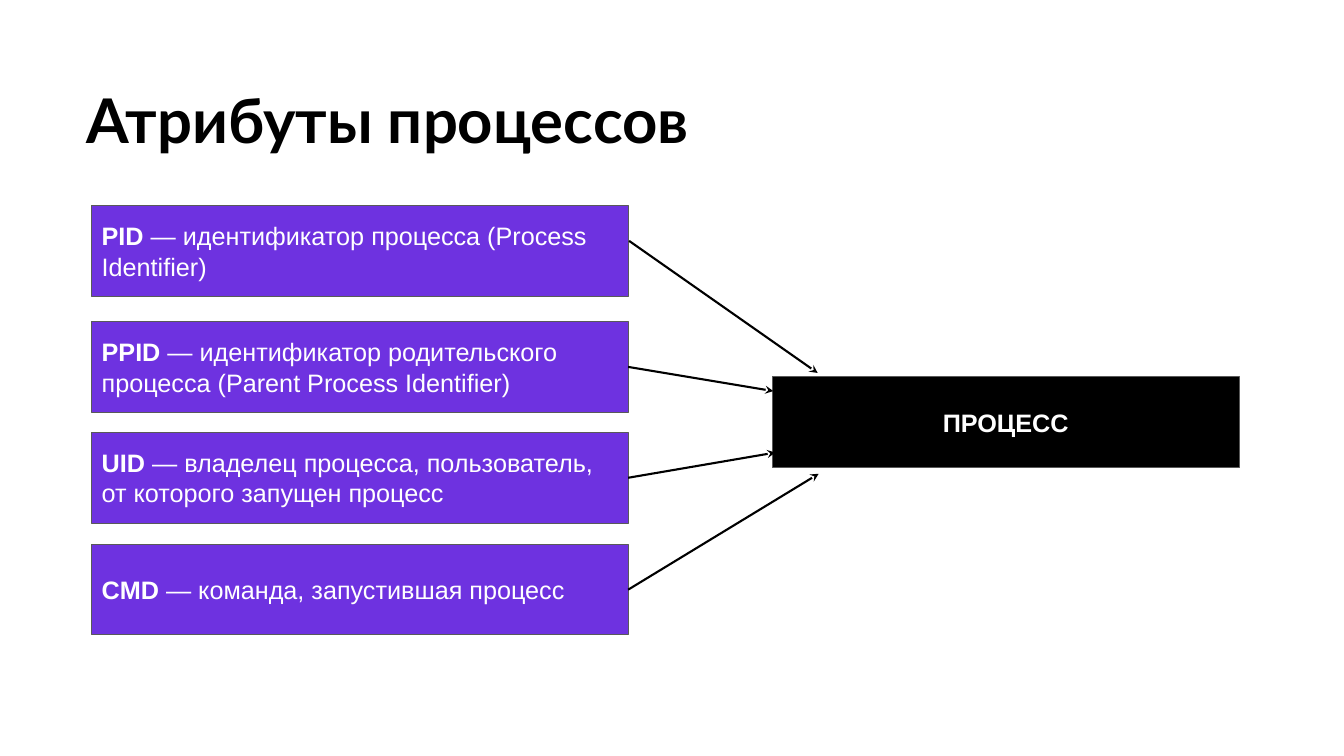
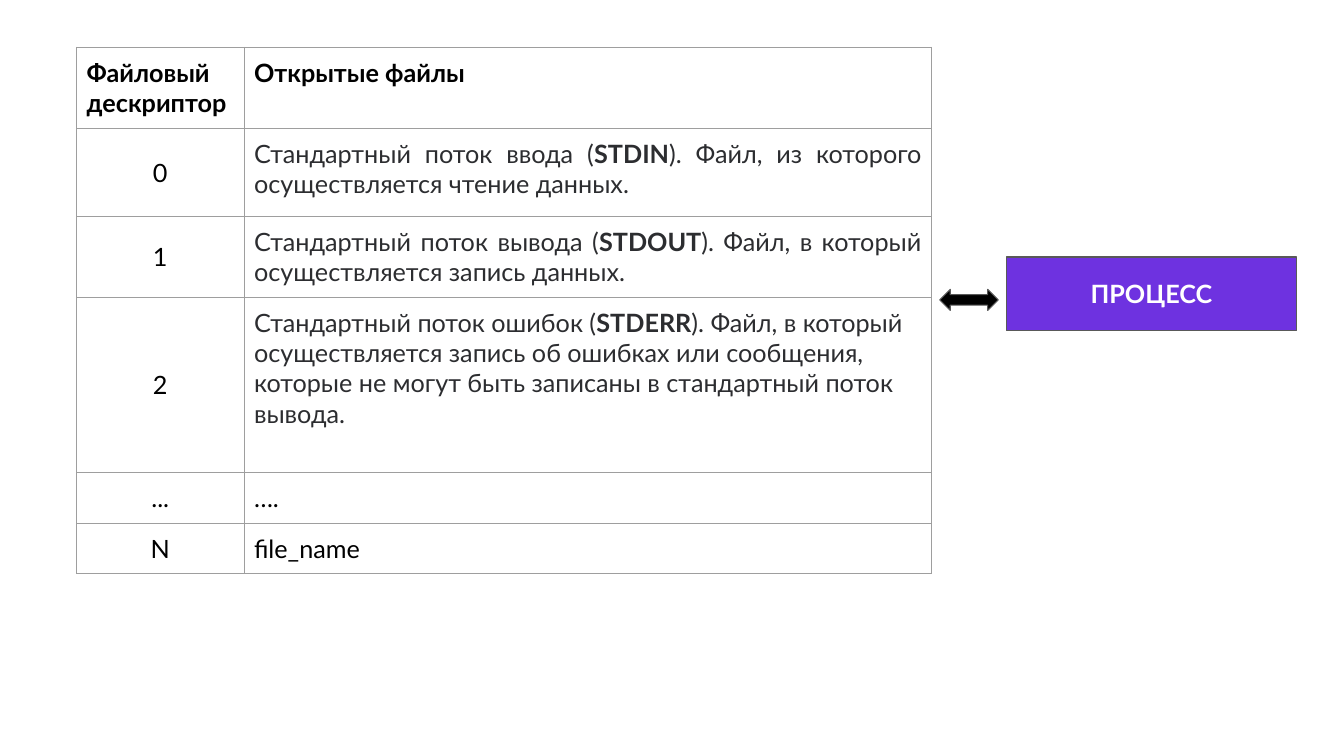
import pptx
import pptx.util
import pptx.dml.color
import pptx.enum.shapes
import pptx.enum.text
import pptx.oxml
import pptx.oxml.ns

Inches, Pt = pptx.util.Inches, pptx.util.Pt
SHAPE = pptx.enum.shapes.MSO_SHAPE
ALIGN = pptx.enum.text.PP_ALIGN
MIDDLE = pptx.enum.text.MSO_ANCHOR.MIDDLE
TOP = pptx.enum.text.MSO_ANCHOR.TOP

PURPLE, BLACK, WHITE = "6E32E0", "000000", "FFFFFF"
OUTLINE, BORDER, BODY = "595959", "9E9E9E", "2C2D30"
RIGHT_SIDE = 3

# top, term, description, arrow start (None: middle of the side), arrow end
ATTRIBUTES = [
    (2.04, "PID", " — идентификатор процесса (Process Identifier)", (6.24, 2.39), (8.11, 3.7)),
    (3.19, "PPID", " — идентификатор родительского процесса (Parent Process Identifier)",
     None, (7.67, 3.88)),
    (4.29, "UID", " — владелец процесса, пользователь, от которого запущен процесс",
     None, (7.69, 4.49)),
    (5.4, "CMD", " — команда, запустившая процесс", None, (8.12, 4.7)),
]

# row height, descriptor, runs of the description, colour, alignment
DESCRIPTORS = [
    (0.88, "0", [("Стандартный поток ввода (", False), ("STDIN", True),
                 ("). Файл, из которого осуществляется чтение данных.", False)],
     BODY, ALIGN.JUSTIFY),
    (0.79, "1", [("Стандартный поток вывода (", False), ("STDOUT", True),
                 ("). Файл, в который осуществляется запись данных.", False)],
     BODY, ALIGN.JUSTIFY),
    (1.74, "2", [("Стандартный поток ошибок (", False), ("STDERR", True),
                 ("). Файл, в который осуществляется запись об ошибках или сообщения, "
                  "которые не могут быть записаны в стандартный поток вывода.", False)],
     BODY, ALIGN.LEFT),
    (0.5, "...", [("….", False)], BLACK, ALIGN.LEFT),
    (0.5, "N", [("file_name", False)], BLACK, ALIGN.LEFT),
]


def rgb(color):
    return pptx.dml.color.RGBColor.from_string(color)


def add_runs(p, runs, font, color, size=18, align=ALIGN.LEFT):
    """Fill a paragraph with (text, bold) runs."""
    p.alignment = align
    for text, bold in runs:
        r = p.add_run()
        r.text = text
        r.font.name, r.font.size, r.font.bold = font, Pt(size), bold
        r.font.color.rgb = rgb(color)


def set_margins(holder, x=0.1, y=0.1):
    holder.margin_left = holder.margin_right = Inches(x)
    holder.margin_top = holder.margin_bottom = Inches(y)


def add_title(slide, text):
    sp = slide.shapes.add_textbox(*map(Inches, (0.76, 0.76, 11.82, 1.05)))
    tf = sp.text_frame
    tf.word_wrap = True
    set_margins(tf, y=0.05)
    add_runs(tf.paragraphs[0], [(text, True)], "Lato", BLACK, 44)


def add_block(slide, at, fill, kind=SHAPE.RECTANGLE):
    sp = slide.shapes.add_shape(kind, *map(Inches, at))
    sp.shadow.inherit = False
    sp.fill.solid()
    sp.fill.fore_color.rgb = rgb(fill)
    sp.line.color.rgb = rgb(OUTLINE)
    sp.line.width = Pt(0.75)
    return sp


def add_label(slide, at, fill, runs, font, align=ALIGN.CENTER):
    """Add a rectangle with white text."""
    sp = add_block(slide, at, fill)
    tf = sp.text_frame
    tf.word_wrap = True
    tf.vertical_anchor = MIDDLE
    set_margins(tf)
    add_runs(tf.paragraphs[0], runs, font, WHITE, align=align)
    return sp


def add_arrow(slide, source, start, end):
    """Draw an arrow from a point, or from the right side of source."""
    first = start or (0, 0)
    line = slide.shapes.add_connector(
        pptx.enum.shapes.MSO_CONNECTOR.STRAIGHT, *map(Inches, first + end))
    if start is None:
        line.begin_connect(source, RIGHT_SIDE)
    line.line.color.rgb = rgb(BLACK)
    line.line.width = Pt(1.5)
    ln = line.line._get_or_add_ln()
    pptx.oxml.ns.qn("a:tailEnd")
    tail = pptx.oxml.parse_xml(
        f'<a:tailEnd {pptx.oxml.ns.nsdecls("a")} type="stealth"/>')
    ln.append(tail)
    effects = pptx.oxml.parse_xml(f'<a:effectLst {pptx.oxml.ns.nsdecls("a")}/>')
    line._element.spPr.append(effects)


def add_borders(cell):
    tc_pr = cell._tc.get_or_add_tcPr()
    for side in "LRTB":
        tc_pr.append(pptx.oxml.parse_xml(
            f'<a:ln{side} {pptx.oxml.ns.nsdecls("a")} w="{Pt(0.75)}">'
            f'<a:solidFill><a:srgbClr val="{BORDER}"/></a:solidFill></a:ln{side}>'))


def fill_cell(cell, runs, color=BLACK, align=ALIGN.LEFT, anchor=TOP):
    add_borders(cell)
    cell.fill.background()
    cell.vertical_anchor = anchor
    set_margins(cell)
    p = cell.text_frame.paragraphs[0]
    add_runs(p, runs, "Lato", color, align=align)
    return p


def add_descriptor_table(slide):
    widths = (1.66, 6.82)
    heights = [0.8] + [row[0] for row in DESCRIPTORS]
    frame = slide.shapes.add_table(
        len(heights), len(widths),
        *map(Inches, (0.76, 0.47, sum(widths), sum(heights))))
    table = frame.table
    table.first_row = table.horz_banding = False
    for column, width in zip(table.columns, widths):
        column.width = Inches(width)
    for row, height in zip(table.rows, heights):
        row.height = Inches(height)
    for col, heading in enumerate(("Файловый дескриптор", "Открытые файлы")):
        fill_cell(table.cell(0, col), [(heading, True)])
    for i, (_, number, runs, color, align) in enumerate(DESCRIPTORS, 1):
        fill_cell(table.cell(i, 0), [(number, False)], align=ALIGN.CENTER, anchor=MIDDLE)
        p = fill_cell(table.cell(i, 1), runs, color, align)
        if color == BODY:
            p.space_before = Pt(10)
        if align == ALIGN.JUSTIFY:
            p.space_after = Pt(10)


def build_attributes(slide):
    add_title(slide, "Атрибуты процессов")
    boxes = [add_label(slide, (0.91, top, 5.32, 0.9), PURPLE,
                       [(term, True), (description, False)], "Arial", ALIGN.LEFT)
             for top, term, description, _, _ in ATTRIBUTES]
    add_label(slide, (7.66, 3.74, 4.63, 0.9), BLACK, [("ПРОЦЕСС", True)], "Arial")
    for box, (*_, start, end) in zip(boxes, ATTRIBUTES):
        add_arrow(slide, box, start, end)


def build_descriptors(slide):
    add_descriptor_table(slide)
    add_label(slide, (9.98, 2.55, 2.88, 0.73), PURPLE, [("ПРОЦЕСС", True)], "Lato")
    add_block(slide, (9.32, 2.87, 0.58, 0.21), BLACK, SHAPE.LEFT_RIGHT_ARROW)


def main():
    prs = pptx.Presentation()
    prs.slide_width, prs.slide_height = Inches(13.33), Inches(7.5)
    for build in (build_attributes, build_descriptors):
        build(prs.slides.add_slide(prs.slide_layouts[6]))
    prs.save("out.pptx")


if __name__ == "__main__":
    main()
